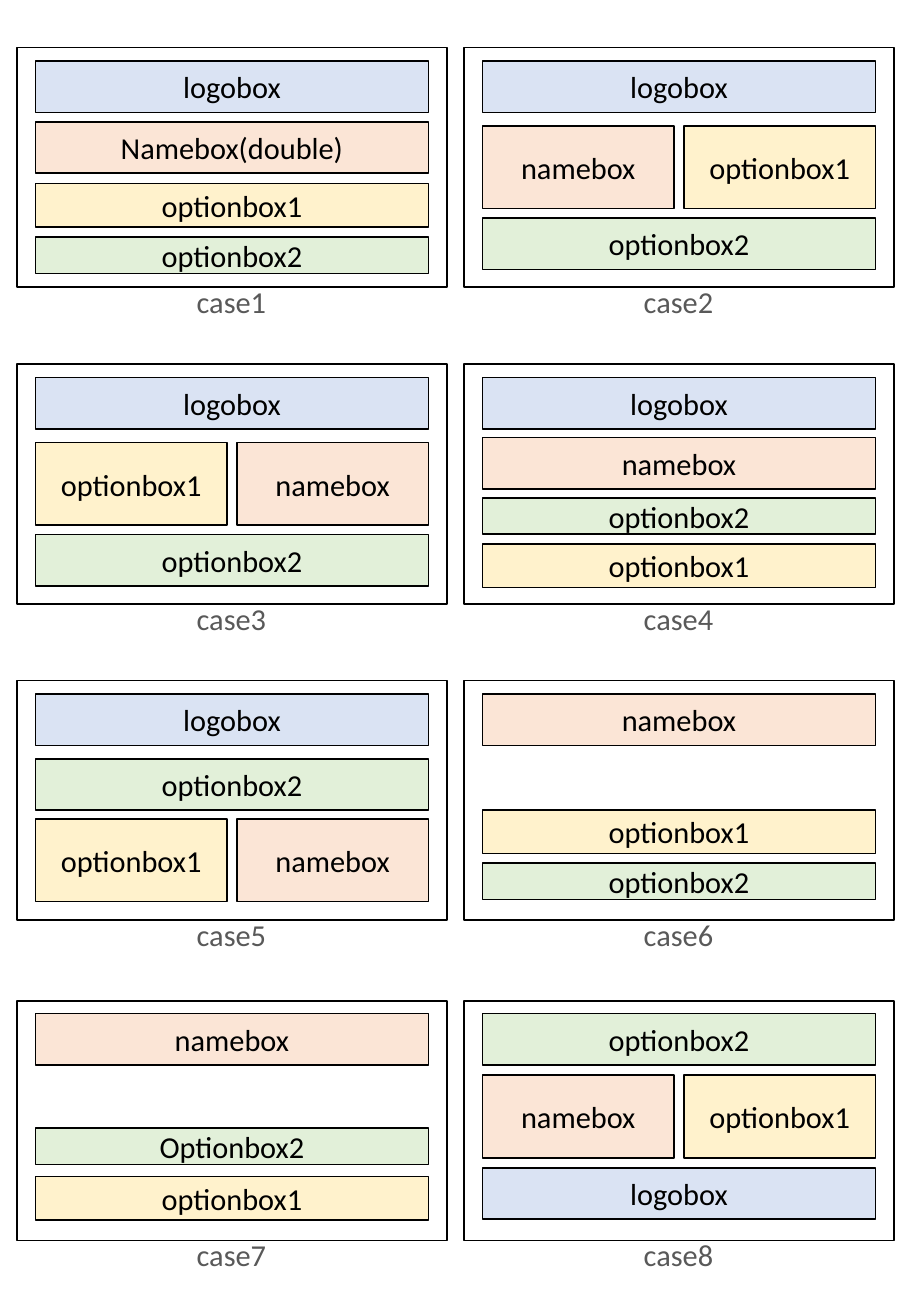
from dataclasses import dataclass, field

from pptx import Presentation
from pptx.dml.color import RGBColor
from pptx.enum.shapes import MSO_SHAPE
from pptx.enum.text import MSO_ANCHOR, MSO_AUTO_SIZE, PP_ALIGN
from pptx.util import Pt


@dataclass
class Theme:
    font: str = "Calibri"
    size: float = 18
    line: float = 1
    ink: str = "000000"
    muted: str = "595959"
    fills: dict = field(default_factory=lambda: {
        "logobox": "DAE3F3",
        "namebox": "FBE5D6",
        "optionbox1": "FFF2CC",
        "optionbox2": "E2F0D9",
    })


theme = Theme()
SLIM, LOW, BAR, TALL = 21.6, 26, 30.5, 49
INSET, GAP = 11, 5.8
WIDTH, HEIGHT = 255, 142
LEFTS = (10, 275)
TOPS = (28.2, 215.8, 403.2, 593)

CASES = [
    [(8, BAR, ["logobox"]), (44, BAR, ["Namebox(double)"]),
     (80.5, LOW, ["optionbox1"]), (112.3, SLIM, ["optionbox2"])],
    [(8, BAR, ["logobox"]), (46.4, TALL, ["namebox", "optionbox1"]),
     (101, BAR, ["optionbox2"])],
    [(8, BAR, ["logobox"]), (46.4, TALL, ["optionbox1", "namebox"]),
     (101, BAR, ["optionbox2"])],
    [(8, BAR, ["logobox"]), (43.5, BAR, ["namebox"]),
     (79.2, SLIM, ["optionbox2"]), (106.4, LOW, ["optionbox1"])],
    [(8, BAR, ["logobox"]), (46.4, BAR, ["optionbox2"]),
     (82, TALL, ["optionbox1", "namebox"])],
    [(8, BAR, ["namebox"]), (76.6, LOW, ["optionbox1"]),
     (108.3, SLIM, ["optionbox2"])],
    [(7.6, BAR, ["namebox"]), (75.4, SLIM, ["Optionbox2"]),
     (104, LOW, ["optionbox1"])],
    [(7.6, BAR, ["optionbox2"]), (44, TALL, ["namebox", "optionbox1"]),
     (99, BAR, ["logobox"])],
]


def write(frame, text, color, align):
    para = frame.paragraphs[0]
    para.alignment = align
    run = para.add_run()
    run.text = text
    run.font.name = theme.font
    run.font.size = Pt(theme.size)
    run.font.color.rgb = RGBColor.from_string(color)


def draw_rect(shapes, x, y, w, h, fill=None):
    rect = shapes.add_shape(MSO_SHAPE.RECTANGLE, Pt(x), Pt(y), Pt(w), Pt(h))
    rect.shadow.inherit = False
    rect.line.color.rgb = RGBColor.from_string(theme.ink)
    rect.line.width = Pt(theme.line)
    if fill:
        rect.fill.solid()
        rect.fill.fore_color.rgb = RGBColor.from_string(fill)
    else:
        rect.fill.background()
    return rect


def draw_row(shapes, x, y, w, h, labels):
    count = len(labels)
    cell = (w - GAP * (count - 1)) / count
    for index, label in enumerate(labels):
        kind = label.lower().split("(")[0]
        left = x + index * (cell + GAP)
        box = draw_rect(shapes, left, y, cell, h, theme.fills[kind])
        box.text_frame.vertical_anchor = MSO_ANCHOR.MIDDLE
        write(box.text_frame, label, theme.ink, PP_ALIGN.CENTER)


def draw_label(shapes, x, y, text):
    label = shapes.add_textbox(Pt(x), Pt(y), Pt(56), Pt(29))
    label.text_frame.word_wrap = False
    label.text_frame.auto_size = MSO_AUTO_SIZE.SHAPE_TO_FIT_TEXT
    write(label.text_frame, text, theme.muted, PP_ALIGN.LEFT)


def draw_case(slide, x, y, w, h, title, rows):
    shapes = slide.shapes.add_group_shape().shapes
    draw_rect(shapes, x, y, w, h)
    draw_label(shapes, x + (w - 56) / 2, y + h - 6, title)
    for top, high, labels in rows:
        draw_row(shapes, x + INSET, y + top, w - 2 * INSET, high, labels)


deck = Presentation()
deck.slide_width, deck.slide_height = Pt(540), Pt(779.76)
slide = deck.slides.add_slide(deck.slide_layouts[6])
for index, rows in enumerate(CASES):
    line, side = divmod(index, len(LEFTS))
    draw_case(slide, LEFTS[side], TOPS[line], WIDTH, HEIGHT,
              f"case{index + 1}", rows)
deck.save("out.pptx")
